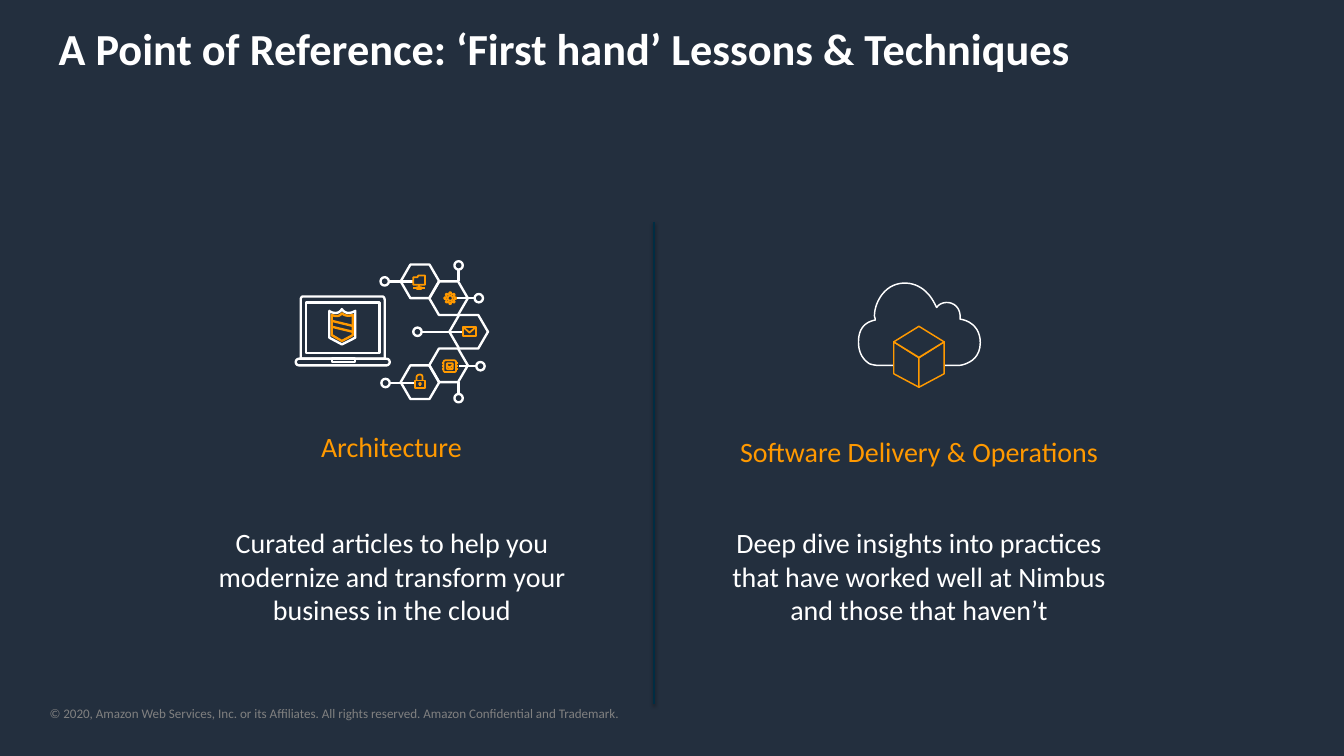
from math import cos, radians, sin

from lxml import etree
from pptx import Presentation
from pptx.dml.color import RGBColor
from pptx.enum.shapes import MSO_CONNECTOR, MSO_SHAPE
from pptx.enum.text import PP_ALIGN
from pptx.oxml.ns import qn
from pptx.util import Inches, Pt

STRAIGHT = MSO_CONNECTOR.STRAIGHT
RECT, ROUND = MSO_SHAPE.RECTANGLE, MSO_SHAPE.ROUNDED_RECTANGLE
OVAL, HEXAGON, DIAMOND = MSO_SHAPE.OVAL, MSO_SHAPE.HEXAGON, MSO_SHAPE.DIAMOND
LEFT, CENTER = PP_ALIGN.LEFT, PP_ALIGN.CENTER

COLS, ROWS = 16, 9
SLIDE_W, SLIDE_H = Inches(16), Inches(9)
NAVY, WHITE, ORANGE, GREY, DIVIDER = "232F3E", "FFFFFF", "FF9900", "808080", "002D43"
MAIN, DETAIL, THIN = 2, 1.5, 1.25


def col(n):
    return round(n * SLIDE_W / COLS)


def row(n):
    return round(n * SLIDE_H / ROWS)


def rgb(value):
    return RGBColor.from_string(value)


def style(sp, color, width, fill=None):
    sp.shadow.inherit = False
    if fill:
        sp.fill.solid()
        sp.fill.fore_color.rgb = rgb(fill)
    else:
        sp.fill.background()
    sp.line.color.rgb = rgb(color)
    sp.line.width = Pt(width)
    return sp


def text(s, box, words, color, size, bold=False, align=CENTER, inset=True):
    x, y, w, h = box
    tf = s.shapes.add_textbox(col(x), row(y), col(w), row(h)).text_frame
    tf.word_wrap = True
    if not inset:
        for side in ("left", "top", "right", "bottom"):
            setattr(tf, f"margin_{side}", 0)
    p = tf.paragraphs[0]
    p.alignment = align
    r = p.add_run()
    r.text = words
    for name, value in {"name": "Calibri", "size": Pt(size), "bold": bold}.items():
        setattr(r.font, name, value)
    r.font.color.rgb = rgb(color)


def line(s, start, end, color, width, join=None):
    sp = s.shapes.add_connector(STRAIGHT, col(start[0]), row(start[1]), col(end[0]), row(end[1]))
    if join:
        sp.end_connect(*join)
    sp.line.color.rgb = rgb(color)
    sp.line.width = Pt(width)
    return etree.SubElement(sp._element.spPr, qn("a:effectLst"))


def shape(s, kind, box, color, width, fill=None, adjust=None):
    x, y, w, h = box
    sp = style(s.shapes.add_shape(kind, col(x), row(y), col(w), row(h)), color, width, fill)
    if adjust is not None:
        sp.adjustments[0] = adjust
    return sp


def centered(s, kind, center, w, h, color, width, **extra):
    x, y = center
    return shape(s, kind, (x - w / 2, y - h / 2, w, h), color, width, **extra)


def bezier(a, b, c, d, steps=12):
    for i in range(1, steps + 1):
        t = i / steps
        u = 1 - t
        yield tuple(u**3 * a[k] + 3 * u * u * t * b[k] + 3 * u * t * t * c[k] + t**3 * d[k]
                    for k in (0, 1))


def outline(s, segments, color, width, fill=None, close=True):
    points = [segments[0]]
    for seg in segments[1:]:
        if len(seg) == 2:
            points.append(seg)
        else:
            points.extend(bezier(points[-1], seg[:2], seg[2:4], seg[4:]))
    emu = [(col(x), row(y)) for x, y in points]
    fb = s.shapes.build_freeform(*emu[0])
    fb.add_line_segments(emu[1:], close=close)
    return style(fb.convert_to_shape(), color, width, fill)


def divider(s):
    effects = line(s, (7.79, 2.64), (7.79, 8.38), DIVIDER, 1.5)
    shadow = etree.SubElement(effects, qn("a:outerShdw"), blurRad=str(Pt(3.1)),
                              dist=str(Pt(1.6)), dir="5400000", rotWithShape="0")
    black = etree.SubElement(shadow, qn("a:srgbClr"), val="000000")
    etree.SubElement(black, qn("a:alpha"), val="38000")


def shield(s):
    for y in (3.82, 3.89):
        line(s, (3.95, y), (4.2, y + 0.06), ORANGE, MAIN)
    outline(s, [(4.23, 3.7), (4.23, 3.7, 4.13, 3.77, 4.07, 3.68), (4.02, 3.77, 3.91, 3.7, 3.92, 3.7),
                (3.92, 4.02), (4.07, 4.1), (4.23, 4.02)], WHITE, MAIN)
    outline(s, [(3.95, 3.75), (3.95, 3.75, 4.03, 3.79, 4.07, 3.73), (4.07, 3.73, 4.12, 3.78, 4.2, 3.75),
                (4.2, 3.99), (4.07, 4.06), (3.95, 3.99)], ORANGE, MAIN)


def laptop(s):
    outline(s, [(4.58, 4.27), (3.58, 4.27), (3.58, 3.57), (3.58, 3.55, 3.59, 3.53, 3.61, 3.53),
                (4.55, 3.53), (4.57, 3.53, 4.58, 3.55, 4.58, 3.57)], WHITE, MAIN)
    shape(s, ROUND, (3.52, 4.27, 1.12, 0.08), WHITE, MAIN, adjust=0.5)
    shape(s, RECT, (3.64, 3.6, 0.88, 0.6), WHITE, MAIN)
    shape(s, RECT, (3.95, 4.27, 0.28, 0.04), WHITE, MAIN)


def network(s):
    for x, step in ((5, -3), (5.34, -2), (5.58, 0), (5.34, 2), (5, 3)):
        centered(s, HEXAGON, (x, 3.95 + step * 0.2), 0.46, 0.4, WHITE, MAIN, adjust=0.29)
    radius = 0.05
    cables = [((4.58, 3.35), (4.92, 3.35)), ((5.46, 3.16), (5.46, 3.35)),
              ((5.7, 3.55), (5.43, 3.55)), ((4.97, 3.95), (5.51, 3.95)),
              ((5.72, 4.36), (5.46, 4.36)), ((5.46, 4.74), (5.46, 4.55)),
              ((4.59, 4.56), (4.94, 4.56))]
    for node, end in cables:
        start = [n + radius * ((e > n) - (e < n)) for n, e in zip(node, end)]
        line(s, start, end, WHITE, MAIN)
        centered(s, OVAL, node, 2 * radius, 2 * radius, WHITE, MAIN)


def folder(s):
    outline(s, [(4.98, 3.28), (4.97, 3.3), (4.92, 3.3), (4.92, 3.39), (5.06, 3.39), (5.06, 3.28)],
            ORANGE, DETAIL)
    stand = shape(s, ROUND, (4.96, 3.42, 0.06, 0.02), ORANGE, DETAIL, adjust=0.5)
    for start, end, side in (((4.99, 3.39), (4.99, 3.42), 0), ((4.92, 3.43), (4.96, 3.43), 1),
                             ((5.06, 3.43), (5.02, 3.43), 3)):
        line(s, start, end, ORANGE, DETAIL, (stand, side))


def gear(s):
    x, y = 5.36, 3.55
    centered(s, OVAL, (x, y), 0.06, 0.06, ORANGE, DETAIL)
    profile = ((-13, 0.05), (-8, 0.07), (8, 0.07), (13, 0.05))
    teeth = [(x + r * cos(radians(a + turn)), y + r * sin(radians(a + turn)))
             for turn in range(0, 360, 45) for a, r in profile]
    outline(s, teeth, ORANGE, DETAIL)


def envelope(s):
    shape(s, RECT, (5.51, 3.89, 0.16, 0.11), ORANGE, DETAIL)
    outline(s, [(5.51, 3.89), (5.59, 3.96), (5.67, 3.89)], ORANGE, DETAIL, close=False)


def chip(s):
    x, y = 5.355, 4.36
    case = centered(s, ROUND, (x, y), 0.15, 0.14, ORANGE, DETAIL, adjust=0.15)
    centered(s, ROUND, (x, y), 0.07, 0.07, ORANGE, DETAIL, adjust=0.15)
    for sign, side in ((-1, 1), (1, 3)):
        for step in (-1, 0, 1):
            pin = y + step * 0.035
            line(s, (x + sign * 0.095, pin), (x + sign * 0.075, pin), ORANGE, DETAIL,
                 None if step else (case, side))
    outline(s, [(5.32, 4.33), (5.32, 4.36, 5.35, 4.39, 5.39, 4.39)], ORANGE, DETAIL, close=False)
    outline(s, [(5.34, 4.37), (5.37, 4.37, 5.39, 4.35, 5.39, 4.33)], ORANGE, DETAIL, close=False)


def padlock(s):
    shape(s, RECT, (4.94, 4.53, 0.12, 0.09), ORANGE, DETAIL)
    outline(s, [(4.96, 4.53), (4.96, 4.49), (4.96, 4.47, 4.98, 4.46, 5, 4.46),
                (5.02, 4.46, 5.03, 4.47, 5.03, 4.49), (5.03, 4.53)], ORANGE, DETAIL, close=False)
    centered(s, OVAL, (5, 4.57), 0.02, 0.02, ORANGE, DETAIL)
    line(s, (5, 4.58), (5, 4.6), ORANGE, DETAIL)


def cloud(s):
    outline(s, [(10.42, 3.81), (10.42, 3.79, 10.41, 3.77, 10.41, 3.76),
                (10.41, 3.62, 10.5, 3.46, 10.63, 3.4), (10.79, 3.33, 10.95, 3.39, 11.04, 3.49),
                (11.09, 3.54, 11.12, 3.6, 11.15, 3.66), (11.23, 3.55, 11.45, 3.59, 11.43, 3.8),
                (11.52, 3.81, 11.67, 3.88, 11.67, 4.08), (11.67, 4.33, 11.42, 4.35, 11.42, 4.35),
                (10.45, 4.35), (10.43, 4.35, 10.37, 4.34, 10.35, 4.33),
                (10.29, 4.29, 10.22, 4.22, 10.22, 4.07), (10.22, 3.9, 10.31, 3.83, 10.42, 3.81)],
            WHITE, THIN)


def cube(s):
    middle = 10.94
    for edge in (middle - 0.3, middle + 0.3):
        outline(s, [(edge, 4.07), (middle, 4.26), (middle, 4.61), (edge, 4.45)], ORANGE, THIN, NAVY)
    centered(s, DIAMOND, (middle, 4.07), 0.6, 0.37, ORANGE, THIN, fill=NAVY)


def main():
    prs = Presentation()
    prs.slide_width, prs.slide_height = SLIDE_W, SLIDE_H
    s = prs.slides.add_slide(prs.slide_layouts[6])
    s.background.fill.solid()
    s.background.fill.fore_color.rgb = rgb(NAVY)
    text(s, (0.6, 0.2, 14.78, 0.95), "A Point of Reference: ‘First hand’ Lessons & Techniques",
         WHITE, 38, bold=True, align=LEFT)
    text(s, (0.59, 8.4, 7.78, 0.19), "© 2020, Amazon Web Services, Inc. or its Affiliates. "
         "All rights reserved. Amazon Confidential and Trademark.", GREY, 11.2, align=LEFT, inset=False)
    divider(s)
    text(s, (2.46, 5.06, 4.4, 0.6), "Architecture", ORANGE, 24)
    text(s, (8.63, 5.12, 4.62, 0.69), "Software Delivery & Operations", ORANGE, 24)
    text(s, (2.47, 6.21, 4.39, 1.31),
         "Curated articles to help you modernize and transform your business in the cloud", WHITE, 24)
    text(s, (8.5, 6.21, 4.88, 1.72),
         "Deep dive insights into practices that have worked well at Nimbus and those that haven’t",
         WHITE, 24)
    for icon in (shield, network, folder, gear, envelope, chip, padlock, laptop, cloud, cube):
        icon(s)
    prs.save("out.pptx")


if __name__ == "__main__":
    main()
